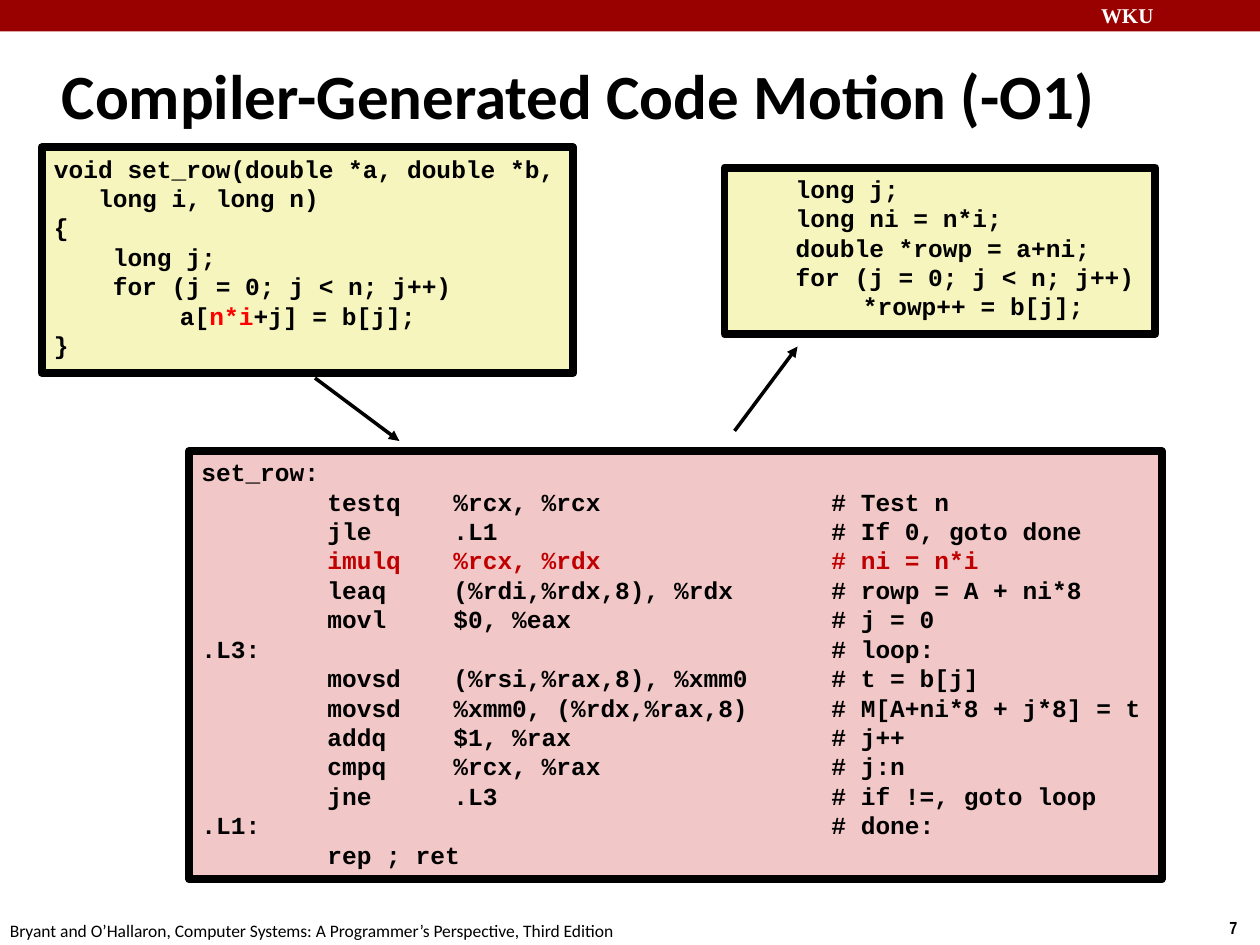
from lxml.etree import SubElement
from pptx import Presentation
from pptx.dml.color import RGBColor
from pptx.enum.shapes import MSO_CONNECTOR, MSO_SHAPE
from pptx.enum.text import MSO_ANCHOR, PP_ALIGN
from pptx.oxml.ns import qn
from pptx.util import Inches, Pt

BLACK, WHITE, BANNER = "000000", "FFFFFF", "990000"
C_FILL, ASM_FILL = "F6F5BD", "F1C7C7"

SOURCE_CODE = """void set_row(double *a, double *b,
   long i, long n)
{
    long j;
    for (j = 0; j < n; j++)
\ta[n*i+j] = b[j];
}"""

OPTIMIZED_CODE = """    long j;
    long ni = n*i;
    double *rowp = a+ni;
    for (j = 0; j < n; j++)
\t*rowp++ = b[j];"""

# label, instruction, operands, comment
ASSEMBLY = [
    ("set_row:",),
    ("", "testq", "%rcx, %rcx", "# Test n"),
    ("", "jle", ".L1", "# If 0, goto done"),
    ("", "imulq", "%rcx, %rdx", "# ni = n*i"),
    ("", "leaq", "(%rdi,%rdx,8), %rdx", "# rowp = A + ni*8"),
    ("", "movl", "$0, %eax", "# j = 0"),
    (".L3:", "", "", "# loop:"),
    ("", "movsd", "(%rsi,%rax,8), %xmm0", "# t = b[j]"),
    ("", "movsd", "%xmm0, (%rdx,%rax,8)", "# M[A+ni*8 + j*8] = t"),
    ("", "addq", "$1, %rax", "# j++"),
    ("", "cmpq", "%rcx, %rax", "# j:n"),
    ("", "jne", ".L3", "# if !=, goto loop"),
    (".L1:", "", "", "# done:"),
    ("", "rep ; ret"),
]


def rgb(hex_color):
    return RGBColor.from_string(hex_color)


def inches(box):
    return [Inches(length) for length in box]


def style(run, font, size, color=BLACK, bold=True):
    run.font.name = font
    run.font.size = Pt(size)
    run.font.bold = bold
    run.font.color.rgb = rgb(color)


def add_label(slide, box, text, font, size, color=BLACK, bold=True):
    frame = slide.shapes.add_textbox(*inches(box)).text_frame
    frame.word_wrap = True
    frame.text = text
    style(frame.paragraphs[0].runs[0], font, size, color, bold)


def add_rectangle(slide, box, fill):
    rectangle = slide.shapes.add_shape(MSO_SHAPE.RECTANGLE, *inches(box))
    rectangle.shadow.inherit = False
    rectangle.fill.solid()
    rectangle.fill.fore_color.rgb = rgb(fill)
    return rectangle


def set_tab_stops(paragraph, stops):
    tab_list = SubElement(paragraph._p.get_or_add_pPr(), qn("a:tabLst"))
    for stop in stops:
        SubElement(tab_list, qn("a:tab"), pos=str(Inches(stop)), algn="l")


def add_code(slide, box, code, fill, key_part=None, key_color=BLACK, tabs=(1,)):
    """Framed listing in which key_part, where a line has it, takes key_color."""
    panel = add_rectangle(slide, box, fill)
    panel.line.color.rgb = rgb(BLACK)
    panel.line.width = Pt(4.5)
    frame = panel.text_frame
    frame.word_wrap = True
    frame.vertical_anchor = MSO_ANCHOR.TOP
    frame.text = code
    for paragraph in frame.paragraphs:
        paragraph.alignment = PP_ALIGN.LEFT
        set_tab_stops(paragraph, tabs)
        if key_part and key_part in paragraph.text:
            parts = paragraph.text.partition(key_part)
            paragraph.clear()
            for part in filter(None, parts):
                paragraph.add_run().text = part
        for run in paragraph.runs:
            style(run, "Courier New", 14, key_color if run.text == key_part else BLACK)


def add_arrow(slide, start, end):
    arrow = slide.shapes.add_connector(MSO_CONNECTOR.STRAIGHT, *inches(start + end))
    arrow.line.color.rgb = rgb(BLACK)
    arrow.line.width = Pt(2)
    SubElement(arrow.line._get_or_add_ln(), qn("a:tailEnd"), type="triangle")
    SubElement(arrow._element.spPr, qn("a:effectLst"))


def add_banner(slide, box):
    left, top, width, _ = box
    add_rectangle(slide, box, BANNER).line.fill.background()
    add_label(slide, (left + width - 1.36, top - 0.03, 1.43, 0.3), "WKU",
              "Times New Roman", 12, WHITE)


def add_footer(slide, box):
    left, top, width, height = box
    add_label(slide, (left - 0.02, top + 0.02, 5.08, height),
              "Bryant and O’Hallaron, Computer Systems: "
              "A Programmer’s Perspective, Third Edition", "Calibri", 10, bold=False)
    add_label(slide, (left + width - 0.34, top, 0.34, height), "7", "Arial Narrow", 10)


def set_title(slide, box, text):
    title = slide.shapes.title
    title.left, title.top, title.width, title.height = inches(box)
    frame = title.text_frame
    frame.text = text
    frame.vertical_anchor = MSO_ANCHOR.MIDDLE
    frame.paragraphs[0].alignment = PP_ALIGN.LEFT
    style(frame.paragraphs[0].runs[0], "Calibri", 36)


def main():
    deck = Presentation()
    deck.slide_width, deck.slide_height = Inches(10), Inches(7.5)
    slide = deck.slides.add_slide(deck.slide_layouts[5])

    add_banner(slide, (0, 0, 10, 0.25))
    add_footer(slide, (0, 7.23, 10, 0.27))
    set_title(slide, (0.39, 0.33, 8.83, 0.83), "Compiler-Generated Code Motion (-O1)")

    rows = ["\t".join(row) for row in ASSEMBLY]
    add_code(slide, (1.5, 3.58, 7.72, 3.4), "\n".join(rows), ASM_FILL,
             rows[3].strip(), "C00000", tabs=(1, 2, 5))
    add_arrow(slide, (2.5, 3), (3.17, 3.5))
    add_arrow(slide, (5.83, 3.42), (6.33, 2.75))
    add_code(slide, (5.75, 1.33, 3.42, 1.32), OPTIMIZED_CODE, C_FILL)
    add_code(slide, (0.33, 1.17, 4.22, 1.79), SOURCE_CODE, C_FILL, "n*i", "FF0000")

    deck.save("out.pptx")


if __name__ == "__main__":
    main()
